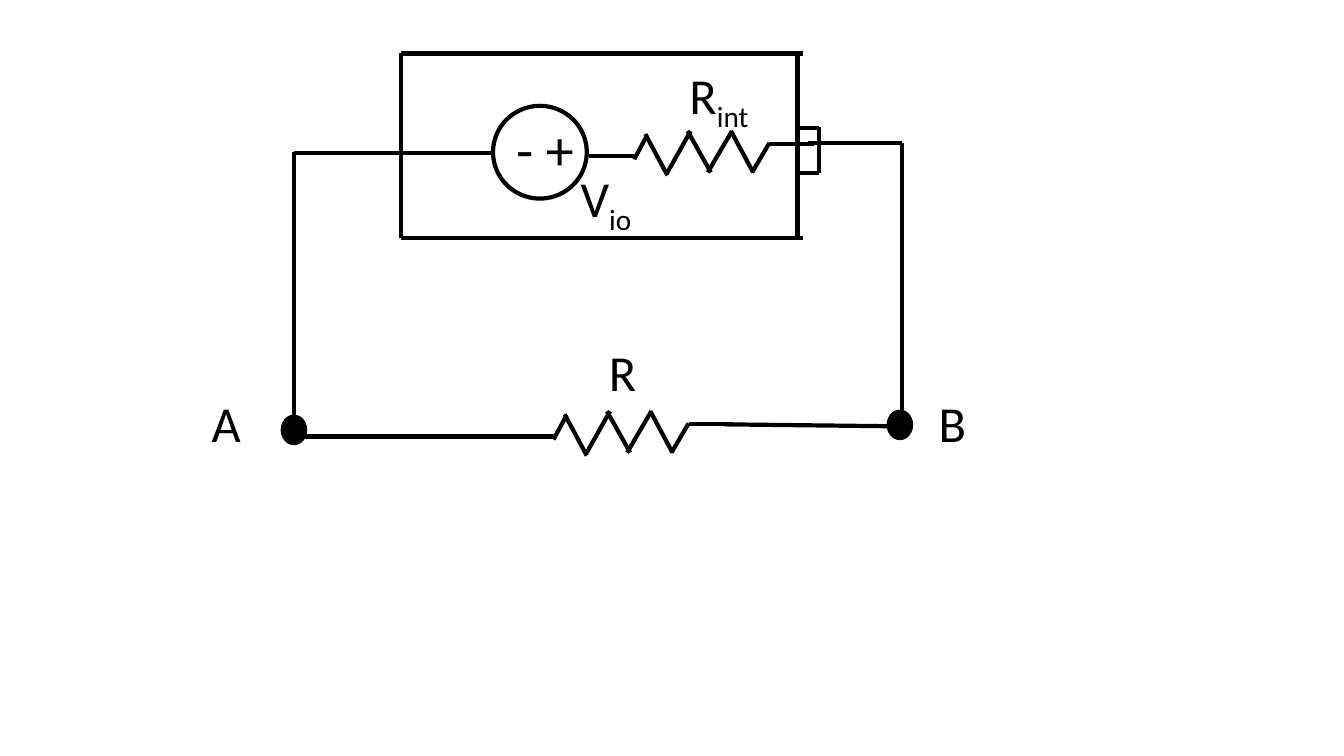
import pptx
import pptx.dml.color
import pptx.enum.shapes
import pptx.enum.text
import pptx.oxml.ns
import pptx.util
import lxml.etree

Inches = pptx.util.Inches
BLACK = "000000"


def color(hex_string):
    return pptx.dml.color.RGBColor.from_string(hex_string)


def add_wires(slide, left, top, segments):
    """Draw segments (x1, y1, x2, y2) measured from left, top."""
    for x1, y1, x2, y2 in segments:
        wire = slide.shapes.add_connector(
            pptx.enum.shapes.MSO_CONNECTOR.STRAIGHT,
            Inches(left + x1), Inches(top + y1),
            Inches(left + x2), Inches(top + y2))
        wire.line.color.rgb = color(BLACK)
        wire.line.width = pptx.util.Pt(3)
        lxml.etree.SubElement(wire._element.spPr, pptx.oxml.ns.qn("a:effectLst"))


def add_circle(slide, left, top, width, height, line_width, fill=None):
    circle = slide.shapes.add_shape(
        pptx.enum.shapes.MSO_SHAPE.OVAL,
        Inches(left), Inches(top), Inches(width), Inches(height))
    circle.shadow.inherit = False
    circle.line.color.rgb = color(BLACK)
    circle.line.width = pptx.util.Pt(line_width)
    if fill:
        circle.fill.solid()
        circle.fill.fore_color.rgb = color(fill)
    else:
        circle.fill.background()


def add_label(slide, left, top, width, symbol, subscript="", size=36, height=0.71):
    label = slide.shapes.add_textbox(
        Inches(left), Inches(top), Inches(width), Inches(height))
    frame = label.text_frame
    frame.word_wrap = False
    frame.auto_size = pptx.enum.text.MSO_AUTO_SIZE.SHAPE_TO_FIT_TEXT
    for text, baseline in ((symbol, None), (subscript, "-25000")):
        if not text:
            continue
        run = frame.paragraphs[0].add_run()
        run.text = text
        run.font.name = "Calibri"
        run.font.size = pptx.util.Pt(size)
        run.font.color.rgb = color(BLACK)
        if baseline:
            run.font._element.set("baseline", baseline)


def add_resistor(slide, left, top):
    """Zigzag with a lead on each side, 2.23 inches wide."""
    rising = [(0.45, 0.28, 0.58, 0.04), (0.78, 0.41, 1.01, 0),
              (1.18, 0.41, 1.42, 0), (1.62, 0.41, 1.79, 0.12)]
    falling = [(0.56, 0.03, 0.78, 0.44), (0.98, 0, 1.21, 0.41),
               (1.41, 0, 1.63, 0.41)]
    leads = [(0, 0.25, 0.45, 0.25), (1.79, 0.13, 2.23, 0.13)]
    add_wires(slide, left, top, rising + falling + leads)


def add_battery(slide, left, top, width, height):
    wall = width - 0.05
    cap = wall + 0.21
    case = [(0, 0, width, 0), (0, height, width, height),
            (0, 0, 0, height), (wall, 0, wall, height)]
    terminal = [(cap, 0.73, cap, 1.19), (wall, 1.19, cap, 1.19),
                (wall, 0.74, cap, 0.74)]
    add_wires(slide, left, top, case + terminal)

    # Voltage source and internal resistance
    add_circle(slide, left + 0.91, top + 0.52, 0.93, 0.92, 3)
    add_label(slide, left + 1.04, top + 0.56, 0.78, "- +", size=40, height=0.77)
    add_resistor(slide, left + 1.86, top + 0.77)
    add_label(slide, left + 2.76, top + 0.06, 0.84, "R", "int")
    add_label(slide, left + 1.68, top + 1.08, 0.74, "V", "io")


def add_external_circuit(slide, left, top):
    # Wires from the battery down to both nodes
    add_wires(slide, left, top, [
        (0, 0.1, 1.97, 0.1), (0, 0.09, 0, 2.91), (0, 2.91, 2.12, 2.91),
        (4.26, 2.79, 6.03, 2.81), (6.03, 0, 6.03, 2.82), (5.09, 0, 6.03, 0)])

    # Load
    add_resistor(slide, left + 2.12, top + 2.66)
    add_label(slide, left + 3.02, top + 1.91, 0.48, "R")

    # Nodes
    for name, label_x, dot_x, dot_y in (("A", -0.92, -0.13, 2.7),
                                        ("B", 6.29, 5.88, 2.65)):
        add_label(slide, left + label_x, top + 2.42, 0.48, name)
        add_circle(slide, left + dot_x, top + dot_y, 0.25, 0.29, 1, BLACK)


def main():
    presentation = pptx.Presentation()
    presentation.slide_width = Inches(13.33)
    presentation.slide_height = Inches(7.5)
    slide = presentation.slides.add_slide(presentation.slide_layouts[6])
    add_battery(slide, 3.98, 0.53, 3.98, 1.83)
    add_external_circuit(slide, 2.92, 1.42)
    presentation.save("out.pptx")


if __name__ == "__main__":
    main()
